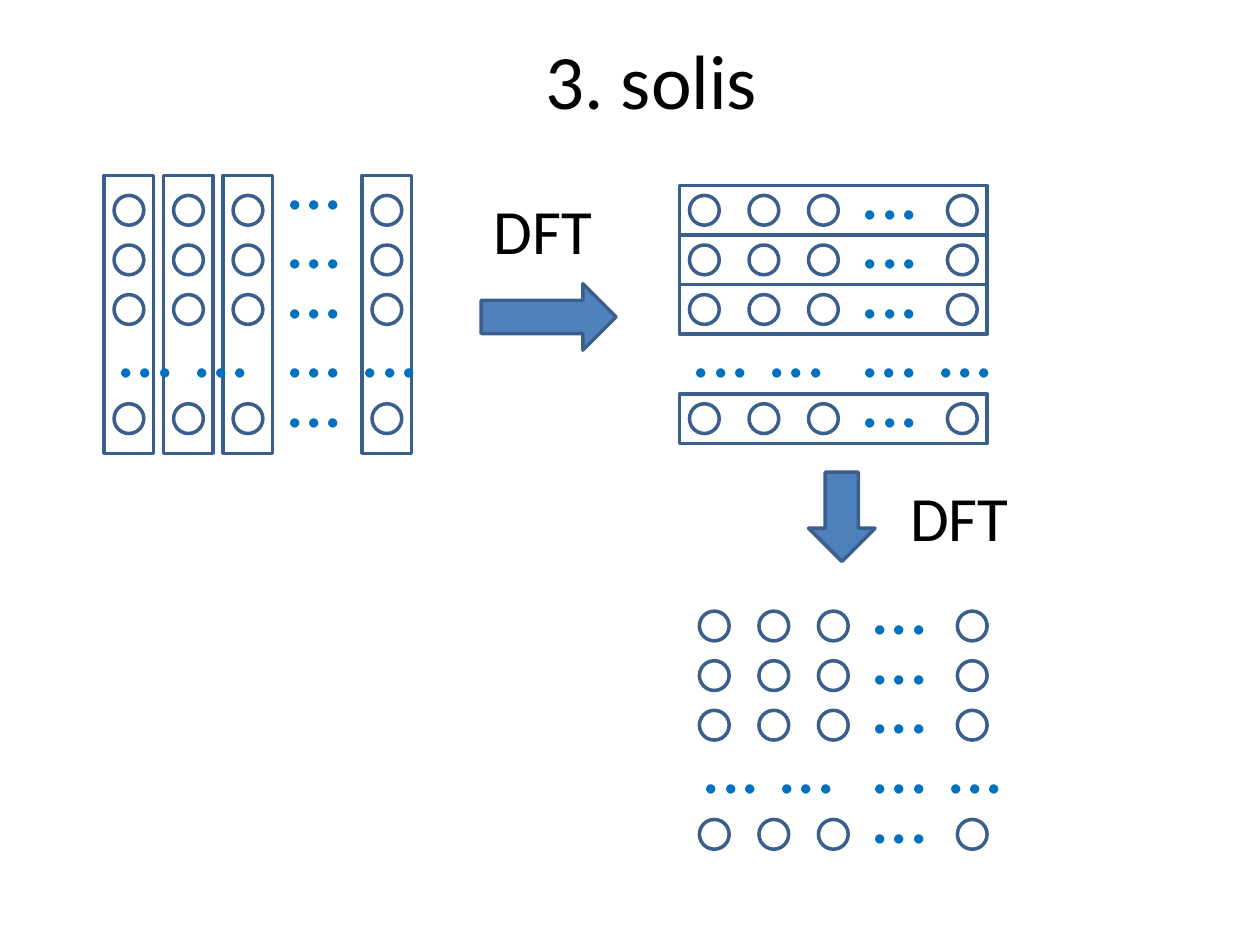
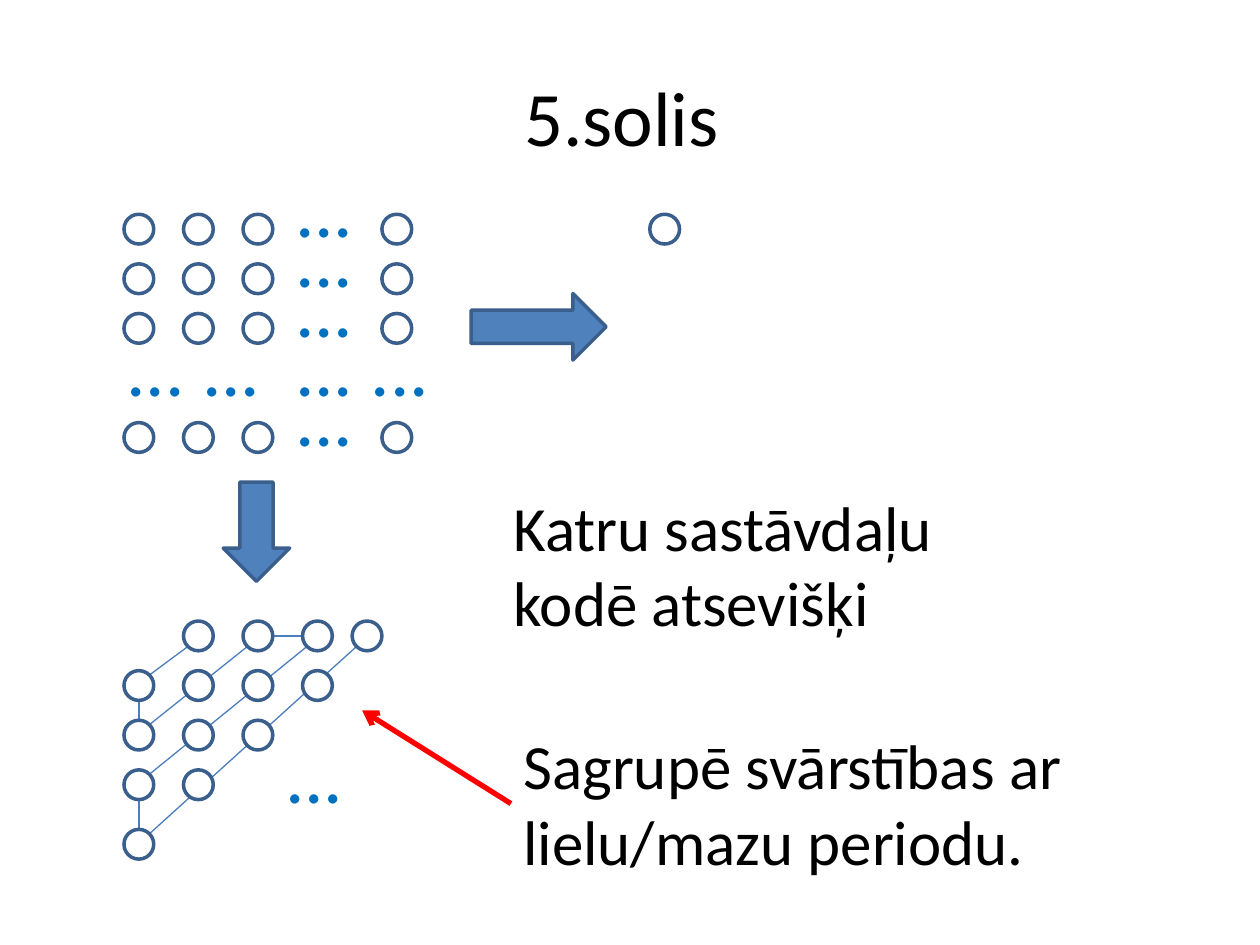
from lxml.etree import SubElement
from pptx import Presentation
from pptx.dml.color import RGBColor
from pptx.enum.shapes import MSO_CONNECTOR, MSO_SHAPE
from pptx.enum.text import MSO_ANCHOR, MSO_AUTO_SIZE, PP_ALIGN
from pptx.oxml.ns import qn
from pptx.util import Mm, Pt

BLACK = RGBColor(0x00, 0x00, 0x00)
WHITE = RGBColor(0xFF, 0xFF, 0xFF)
RED = RGBColor(0xFF, 0x00, 0x00)
BLUE = RGBColor(0x4F, 0x81, 0xBD)
OUTLINE = RGBColor(0x3A, 0x5F, 0x8C)
LINK = RGBColor(0x4B, 0x7E, 0xBC)
DOTS = RGBColor(0x00, 0x70, 0xC0)

# All places are (column, row) on a grid of 2 mm cells, sizes are in cells.
CELL = Mm(2)
CIRCLE = 3
PITCH = 5
COLUMNS = (0, 6, 12, 26)
ROWS = (0, 5, 10, 21)
ZIGZAG_COLUMNS = (0, 6, 12, 18, 23)
ZIGZAG_ROWS = (0, 5, 10, 15, 21)
TITLE_SIZE = (114.3, 15.9)
RIGHT_SIZE = (13.6, 6.7)
DFT_SIZE = (12.6, 9)
DOTS_SIZE = (8.5, 10.7)

STYLES = {
    "title": {"size": Pt(44), "color": BLACK},
    "dots": {"size": Pt(44), "color": DOTS},
    "body": {"size": Pt(36), "color": BLACK},
}

# Each matrix: top left circle, boxes around columns or rows, shift of the first dots
SLIDES = [
    {
        "title": ("3. solis", (8.5, 0)),
        "matrices": [
            ((11.5, 19.7), "columns", -1),
            ((69.5, 19.7), "rows", 0),
            ((70.5, 61.6), None, 0),
        ],
        "arrows": [
            (MSO_SHAPE.RIGHT_ARROW, (48.5, 28.6), RIGHT_SIZE),
            (MSO_SHAPE.DOWN_ARROW, (81.5, 47.6), (6.7, 9)),
        ],
        "texts": [
            (["DFT"], (48.5, 18.7), DFT_SIZE),
            (["DFT"], (90.5, 47.6), DFT_SIZE),
        ],
    },
    {
        "title": ("5.solis", (5.5, 3.7)),
        "matrices": [((12.5, 21.6), None, 0)],
        "arrows": [
            (MSO_SHAPE.RIGHT_ARROW, (47.5, 29.6), RIGHT_SIZE),
            (MSO_SHAPE.DOWN_ARROW, (22.5, 48.6), (6.7, 10)),
        ],
        "texts": [
            (["Katru sastāvdaļu ", "kodē atsevišķi"], (50.5, 48.6), (46.6, 16.6)),
            (["Sagrupē svārstības ar ", "lielu/mazu periodu."], (51.5, 72.6), (58.8, 16.6)),
        ],
        "zigzag": (12.5, 62.6),
        "single": (65.5, 21.6),
        "pointer": ((51.5, 81), (36.5, 71.6)),
    },
]


def cells(*values):
    """Turn grid cells into slide lengths."""
    return [round(value * CELL) for value in values]


def add_block(shapes, kind, place, size, fill=WHITE):
    """Add an outlined preset shape."""
    shape = shapes.add_shape(kind, *cells(*place, *size))
    shape.shadow.inherit = False
    shape.fill.solid()
    shape.fill.fore_color.rgb = fill
    shape.line.color.rgb = OUTLINE
    shape.line.width = Pt(2)


def add_circle(slide, left, top):
    """Add one matrix element."""
    add_block(slide.shapes, MSO_SHAPE.OVAL, (left, top), (CIRCLE, CIRCLE))


def add_text(slide, lines, place, size, style):
    """Add a text box with one paragraph per line."""
    frame = slide.shapes.add_textbox(*cells(*place, *size)).text_frame
    is_title = style == "title"
    frame_format = {
        "word_wrap": is_title,
        "auto_size": MSO_AUTO_SIZE.NONE if is_title else MSO_AUTO_SIZE.SHAPE_TO_FIT_TEXT,
        "vertical_anchor": MSO_ANCHOR.MIDDLE if is_title else MSO_ANCHOR.TOP,
    }
    for name, value in frame_format.items():
        setattr(frame, name, value)
    for index, line in enumerate(lines):
        paragraph = frame.add_paragraph() if index else frame.paragraphs[0]
        paragraph.alignment = PP_ALIGN.CENTER if is_title else PP_ALIGN.LEFT
        run = paragraph.add_run()
        run.text = line
        run.font.name = "Calibri"
        run.font.size = STYLES[style]["size"]
        run.font.color.rgb = STYLES[style]["color"]


def add_line(slide, start, end, color=LINK, width=0.75, arrow=False):
    """Add a straight line, with an arrowhead at its end if asked."""
    connector = slide.shapes.add_connector(MSO_CONNECTOR.STRAIGHT, *cells(*start, *end))
    connector.line.color.rgb = color
    connector.line.width = Pt(width)
    if arrow:
        SubElement(connector.line._get_or_add_ln(), qn("a:tailEnd"), type="arrow")
    SubElement(connector._element.spPr, qn("a:effectLst"))


def add_matrix(slide, origin, boxes, first_shift):
    """Add a matrix of circles with dots for the left out rows and columns."""
    left, top = origin
    if boxes == "columns":
        for column in COLUMNS:
            add_block(slide.shapes, MSO_SHAPE.RECTANGLE, (left + column - 1, top - 2), (PITCH, 28))
    elif boxes == "rows":
        group = slide.shapes.add_group_shape()
        for row in ROWS:
            add_block(group.shapes, MSO_SHAPE.RECTANGLE, (left - 1, top + row - 1), (31, PITCH))
    for row in ROWS:
        for column in COLUMNS:
            add_circle(slide, left + column, top + row)
        shift = 0 if row else first_shift
        add_text(slide, ["..."], (left + 16, top + row - 6 + shift), DOTS_SIZE, "dots")
    add_text(slide, ["... ...  ... ..."], (left - 1, top + 10), (33.5, 10.7), "dots")


def add_zigzag(slide, origin):
    """Add the triangle of circles joined along its diagonals."""
    left, top = origin
    near, middle, far = 0.44, CIRCLE / 2, 2.56

    def point(column, row, across, down):
        """Find a point inside the circle at a column and row."""
        return left + ZIGZAG_COLUMNS[column] + across, top + ZIGZAG_ROWS[row] + down

    count = len(ZIGZAG_COLUMNS)
    for diagonal in range(1, count):
        add_line(slide, point(diagonal, 0, near, far), point(0, diagonal, far, near))
    for row in (1, 3):
        add_line(slide, point(0, row, middle, CIRCLE), point(0, row + 1, middle, 0))
    add_line(slide, point(2, 0, CIRCLE, middle), point(3, 0, 0, middle))
    for column in range(count):
        for row in range(count - column):
            if column + row:
                add_circle(slide, *point(column, row, 0, 0))
    add_text(slide, ["..."], (left + 15, top + 10), DOTS_SIZE, "dots")


def build_slide(presentation, content):
    """Build one step slide from its content."""
    slide = presentation.slides.add_slide(presentation.slide_layouts[6])
    title, place = content["title"]
    add_text(slide, [title], place, TITLE_SIZE, "title")
    for matrix in content["matrices"]:
        add_matrix(slide, *matrix)
    for kind, place, size in content["arrows"]:
        add_block(slide.shapes, kind, place, size, BLUE)
    if "zigzag" in content:
        add_zigzag(slide, content["zigzag"])
    if "single" in content:
        add_circle(slide, *content["single"])
    for text in content["texts"]:
        add_text(slide, *text, "body")
    if "pointer" in content:
        add_line(slide, *content["pointer"], RED, 3, arrow=True)


presentation = Presentation()
presentation.slide_width, presentation.slide_height = cells(127, 95.25)
for content in SLIDES:
    build_slide(presentation, content)
presentation.save("out.pptx")
